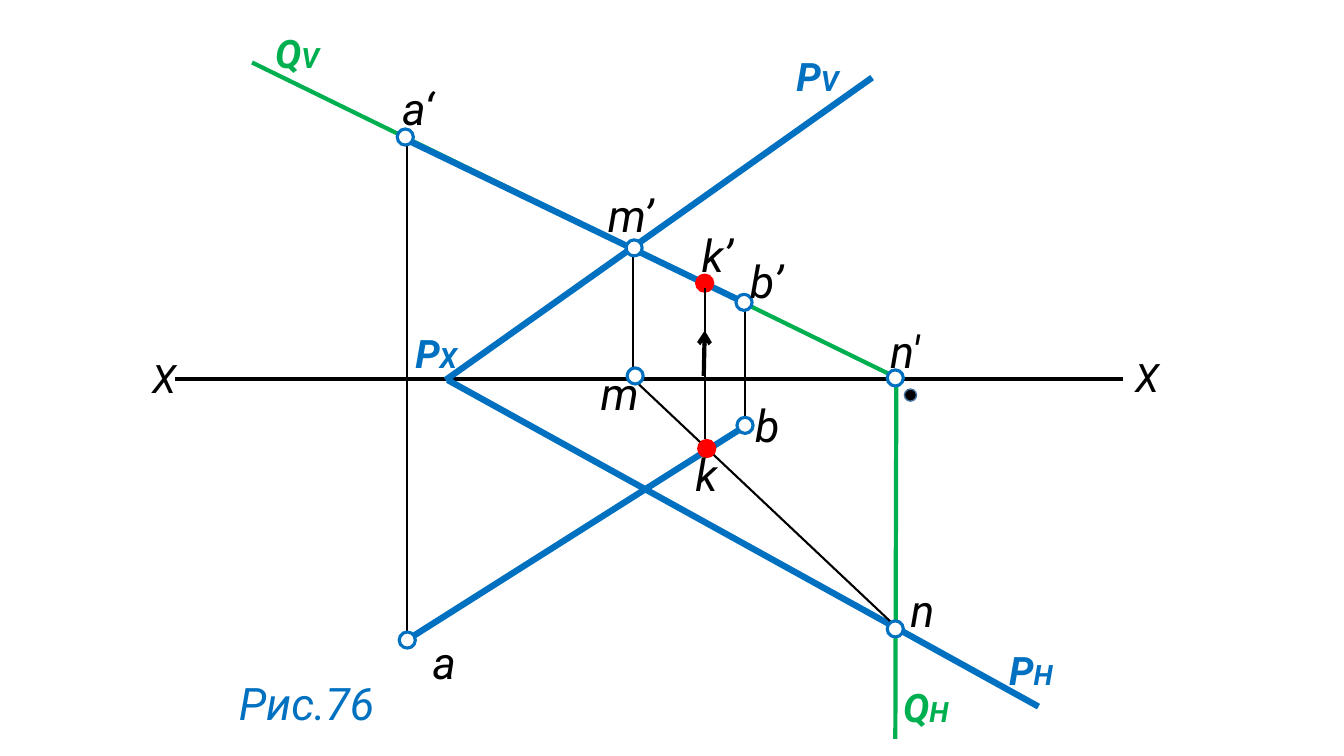
"""Build the slide with the line and plane intersection drawing, figure 76."""
from dataclasses import dataclass

import pptx
import pptx.dml.color
import pptx.enum.shapes
import pptx.enum.text
import pptx.oxml
import pptx.oxml.ns
import pptx.util

PX = 9144
FONT = "Roboto"
COLORS = {"black": "000000", "white": "FFFFFF", "blue": "0070C0",
          "green": "00B050", "red": "FF0000", "steel": "43739E"}


@dataclass
class Line:
    x1: int
    y1: int
    x2: int
    y2: int
    color: str = "black"
    weight: float = 1.5
    arrow: bool = False


@dataclass
class Dot:
    cx: int
    cy: int
    fill: str = "white"
    outline: str = "blue"
    size: int = 16
    weight: float = 2.25


@dataclass
class Label:
    text: str
    x: int
    y: int
    w: int
    size: int = 32
    color: str = "black"
    subscript: str = ""


LINES = [
    Line(628, 247, 628, 374),
    Line(892, 376, 250, 62, "green", 3),
    Line(739, 297, 739, 427),
    Line(1114, 376, 174, 376, "black", 3),
    Line(1030, 701, 444, 377, "blue", 4.5),
    Line(865, 77, 442, 377, "blue", 4.5),
    Line(742, 302, 404, 139, "blue", 4.5),
    Line(404, 140, 404, 632),
    Line(627, 375, 891, 624),
    Line(889, 379, 888, 733, "green", 3),
    Line(698, 373, 699, 328, "black", 3, arrow=True),
    Line(737, 424, 402, 636, "blue", 4.5),
]
K_PROJECTION = Line(699, 286, 699, 436)

DOTS = [
    Dot(739, 422), Dot(404, 635), Dot(402, 136), Dot(888, 624),
    Dot(630, 373), Dot(629, 246), Dot(738, 300), Dot(888, 375),
    Dot(701, 445, "red", "red"), Dot(699, 281, "red", "red"),
    Dot(903, 392, "black", "steel", 12, 1),
]

LABELS = [
    Label("X", 1116, 346, 89, 28),
    Label("X", 141, 347, 66, 28),
    Label("Рис.76", 227, 665, 169, 32, "blue"),
    Label("n'", 873, 316, 69),
    Label("m’", 593, 181, 69),
    Label("m", 586, 358, 43),
    Label("a", 419, 625, 43),
    Label("a‘", 389, 75, 63),
    Label("b", 739, 390, 43),
    Label("b’", 734, 247, 63),
    Label("n", 893, 573, 43),
    Label("k’", 686, 221, 61),
    Label("k", 680, 438, 43),
    Label("Q", 886, 673, 84, 28, "green", "H"),
    Label("Q", 263, 24, 71, 28, "green", "V"),
    Label("P", 402, 322, 71, 28, "blue", "X"),
    Label("P", 780, 47, 71, 28, "blue", "V"),
    Label("P", 991, 636, 71, 28, "blue", "H"),
]


def px(n: int) -> pptx.util.Emu:
    return pptx.util.Emu(n * PX)


def rgb(name: str) -> pptx.dml.color.RGBColor:
    return pptx.dml.color.RGBColor.from_string(COLORS[name])


def draw_line(slide: pptx.slide.Slide, line: Line) -> None:
    cxn = slide.shapes.add_connector(
        pptx.enum.shapes.MSO_CONNECTOR.STRAIGHT,
        px(line.x1), px(line.y1), px(line.x2), px(line.y2))
    cxn.line.color.rgb = rgb(line.color)
    cxn.line.width = pptx.util.Pt(line.weight)
    if line.arrow:
        tail = pptx.oxml.parse_xml(
            f'<a:tailEnd {pptx.oxml.ns.nsdecls("a")} type="arrow"/>')
        cxn.line._get_or_add_ln().append(tail)
    cxn._element.spPr.append(
        pptx.oxml.parse_xml(f'<a:effectLst {pptx.oxml.ns.nsdecls("a")}/>'))


def draw_dot(slide: pptx.slide.Slide, dot: Dot) -> None:
    half = dot.size // 2
    sp = slide.shapes.add_shape(
        pptx.enum.shapes.MSO_SHAPE.OVAL,
        px(dot.cx - half), px(dot.cy - half), px(dot.size), px(dot.size))
    sp.shadow.inherit = False
    sp.fill.solid()
    sp.fill.fore_color.rgb = rgb(dot.fill)
    sp.line.color.rgb = rgb(dot.outline)
    sp.line.width = pptx.util.Pt(dot.weight)


def draw_label(slide: pptx.slide.Slide, label: Label) -> None:
    h = 64 if label.size == 32 else 57
    sp = slide.shapes.add_textbox(px(label.x), px(label.y), px(label.w), px(h))
    tf = sp.text_frame
    tf.word_wrap = True
    tf.auto_size = pptx.enum.text.MSO_AUTO_SIZE.SHAPE_TO_FIT_TEXT
    p = tf.paragraphs[0]
    p.text = label.text
    if label.subscript:
        p.add_run().text = label.subscript
    for r, size in zip(p.runs, (label.size, 20)):
        r.font.name = FONT
        r.font.size = pptx.util.Pt(size)
        r.font.italic = True
        r.font.bold = bool(label.subscript)
        r.font.color.rgb = rgb(label.color)


def main() -> None:
    prs = pptx.Presentation()
    prs.slide_width, prs.slide_height = px(1333), px(750)
    slide = prs.slides.add_slide(prs.slide_layouts.get_by_name("Blank"))
    for line in LINES:
        draw_line(slide, line)
    for dot in DOTS:
        draw_dot(slide, dot)
    for label in LABELS:
        draw_label(slide, label)
    draw_line(slide, K_PROJECTION)
    prs.save("out.pptx")


if __name__ == "__main__":
    main()
